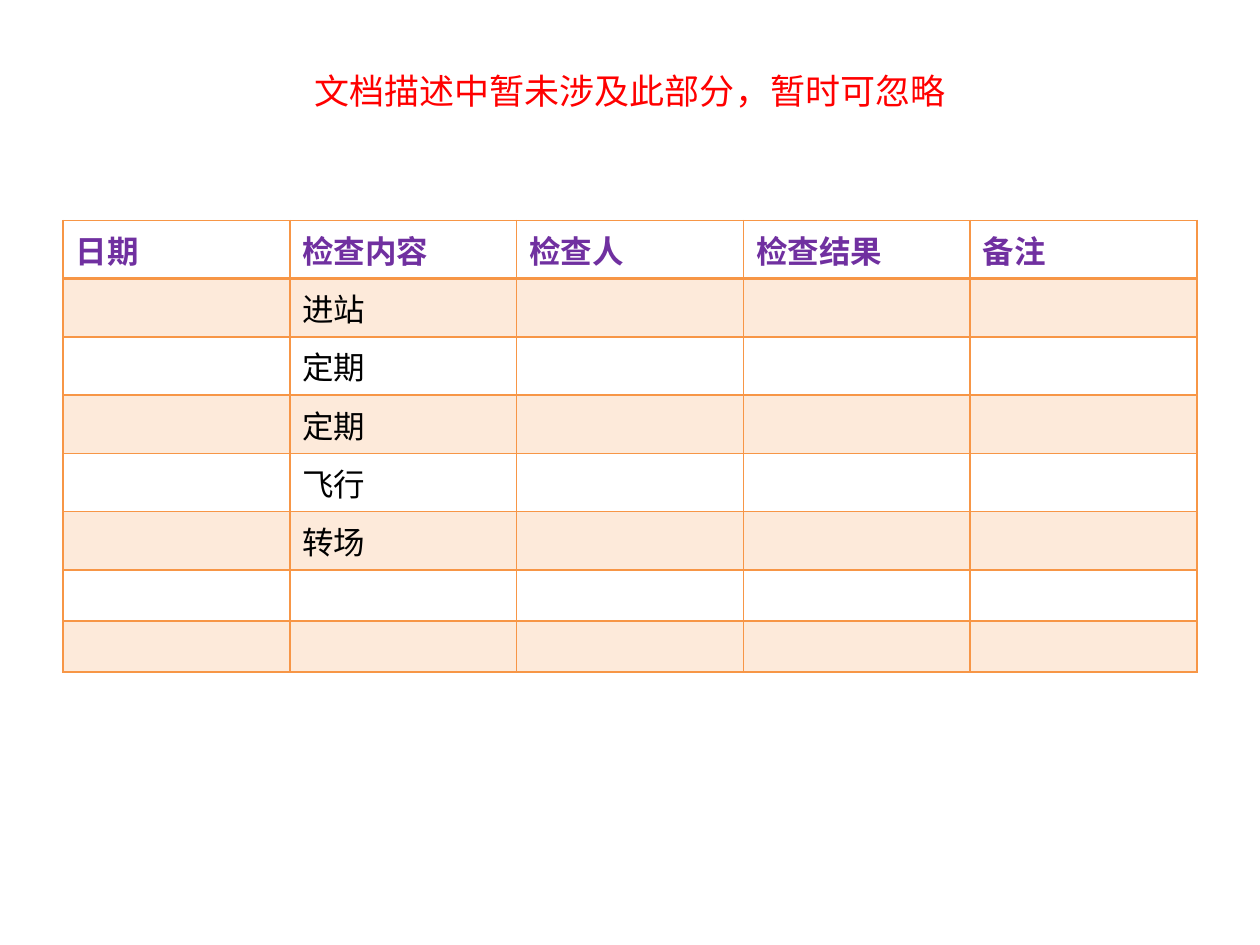
from dataclasses import dataclass

from lxml import etree
from pptx import Presentation
from pptx.dml.color import RGBColor
from pptx.enum.text import MSO_ANCHOR, PP_ALIGN
from pptx.oxml.ns import qn
from pptx.util import Pt

MIDDLE = MSO_ANCHOR.MIDDLE
LEFT, CENTER = PP_ALIGN.LEFT, PP_ALIGN.CENTER
PX = 9144  # 100 px to the inch


@dataclass(frozen=True)
class Theme:
    font: str = "Calibri"
    alert: str = "FF0000"
    head: str = "7030A0"
    body: str = "000000"
    accent: str = "F79646"
    tint: int = 20
    title_size: int = 20
    cell_size: int = 18


@dataclass(frozen=True)
class Box:
    left: int
    top: int
    width: int
    height: int

    def emu(self) -> tuple[int, ...]:
        return tuple(v * PX for v in (self.left, self.top, self.width, self.height))


THEME = Theme()
TITLE = Box(50, 44, 900, 55)
GRID = Box(50, 175, 900, 324)
HEADS = ["日期", "检查内容", "检查人", "检查结果", "备注"]
CHECKS = ["进站", "定期", "定期", "飞行", "转场", "", ""]
ROWS = [HEADS] + [["", check, "", "", ""] for check in CHECKS]


def write(frame, text: str, *, size: int, color: str, bold: bool = False,
          align=LEFT) -> None:
    para = frame.paragraphs[0]
    para.alignment = align
    para.font.size = Pt(size)
    if not text:
        return
    run = para.add_run()
    run.text = text
    font = run.font
    font.name, font.size, font.bold = THEME.font, Pt(size), bold
    font.color.rgb = RGBColor.from_string(color)


def edge(cell, side: str, width: int) -> None:
    """Draw one border; side is L, R, T or B."""
    line = etree.SubElement(cell._tc.get_or_add_tcPr(), qn(f"a:ln{side}"),
                            w=str(Pt(width)))
    fill = etree.SubElement(line, qn("a:solidFill"))
    etree.SubElement(fill, qn("a:srgbClr"), val=THEME.accent)


def shade(cell, banded: bool) -> None:
    if not banded:
        cell.fill.background()
        return
    cell.fill.solid()
    cell.fill.fore_color.rgb = RGBColor.from_string(THEME.accent)
    color = cell._tc.tcPr.find(f"{qn('a:solidFill')}/{qn('a:srgbClr')}")
    etree.SubElement(color, qn("a:alpha"), val=str(THEME.tint * 1000))


def draw_title(slide, text: str) -> None:
    title = slide.shapes.title
    title.left, title.top, title.width, title.height = TITLE.emu()
    frame = title.text_frame
    frame.word_wrap = True
    frame.vertical_anchor = MIDDLE
    write(frame, text, size=THEME.title_size, color=THEME.alert, align=CENTER)


def draw_table(slide, rows: list[list[str]]) -> None:
    table = slide.shapes.add_table(len(rows), len(rows[0]), *GRID.emu()).table
    table.horz_banding = table.first_row = False
    for r, row in enumerate(rows):
        head = r == 0
        for c, text in enumerate(row):
            cell = table.cell(r, c)
            for side in "LRTB":
                thick = (head and side == "B") or (r == 1 and side == "T")
                edge(cell, side, 2 if thick else 1)
            shade(cell, r % 2 == 1)
            write(cell.text_frame, text, size=THEME.cell_size, bold=head,
                  color=THEME.head if head else THEME.body)


def main() -> None:
    deck = Presentation()
    deck.slide_width, deck.slide_height = 1000 * PX, 750 * PX
    slide = deck.slides.add_slide(deck.slide_layouts[5])
    draw_table(slide, ROWS)
    draw_title(slide, "文档描述中暂未涉及此部分，暂时可忽略")
    deck.save("out.pptx")


if __name__ == "__main__":
    main()
